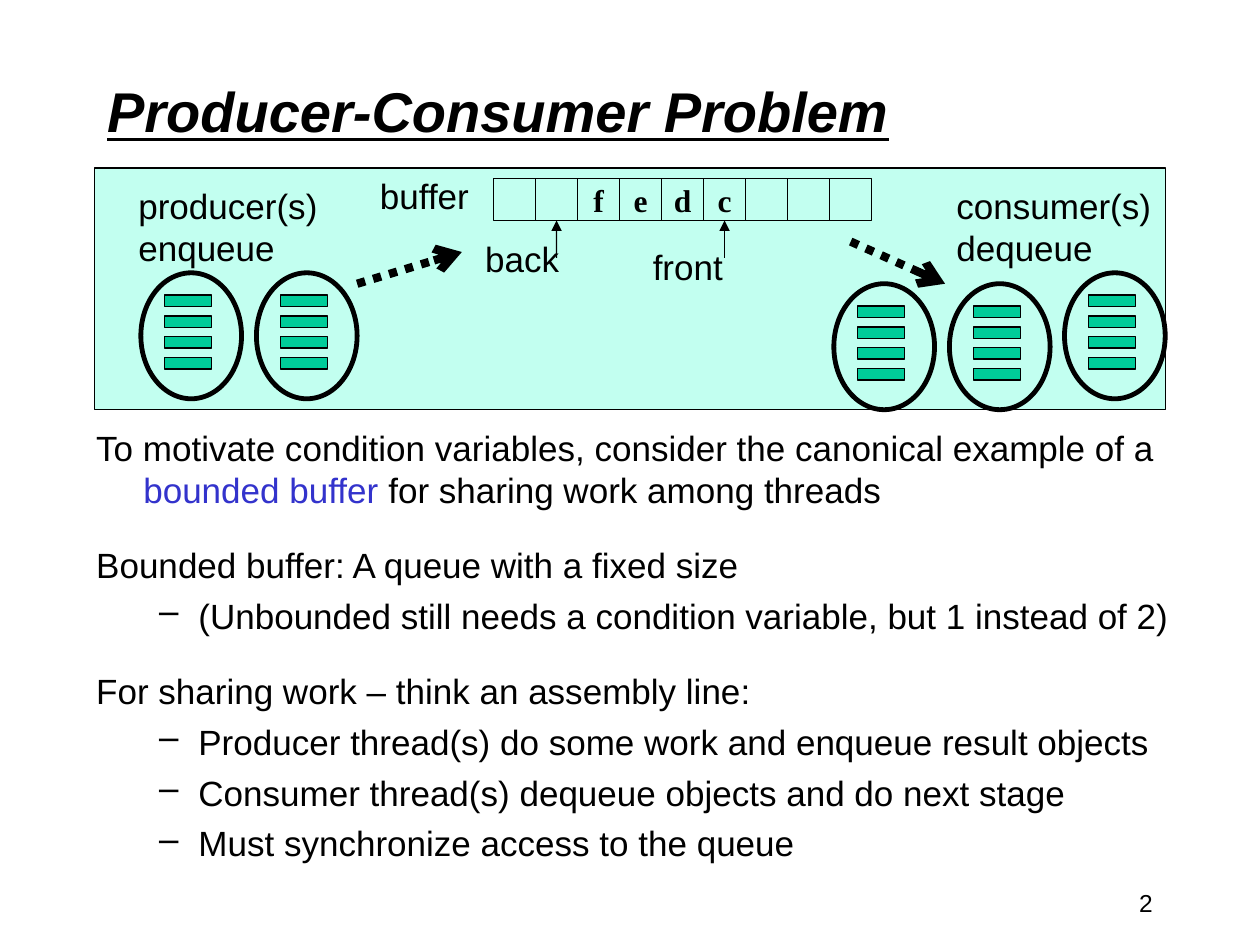
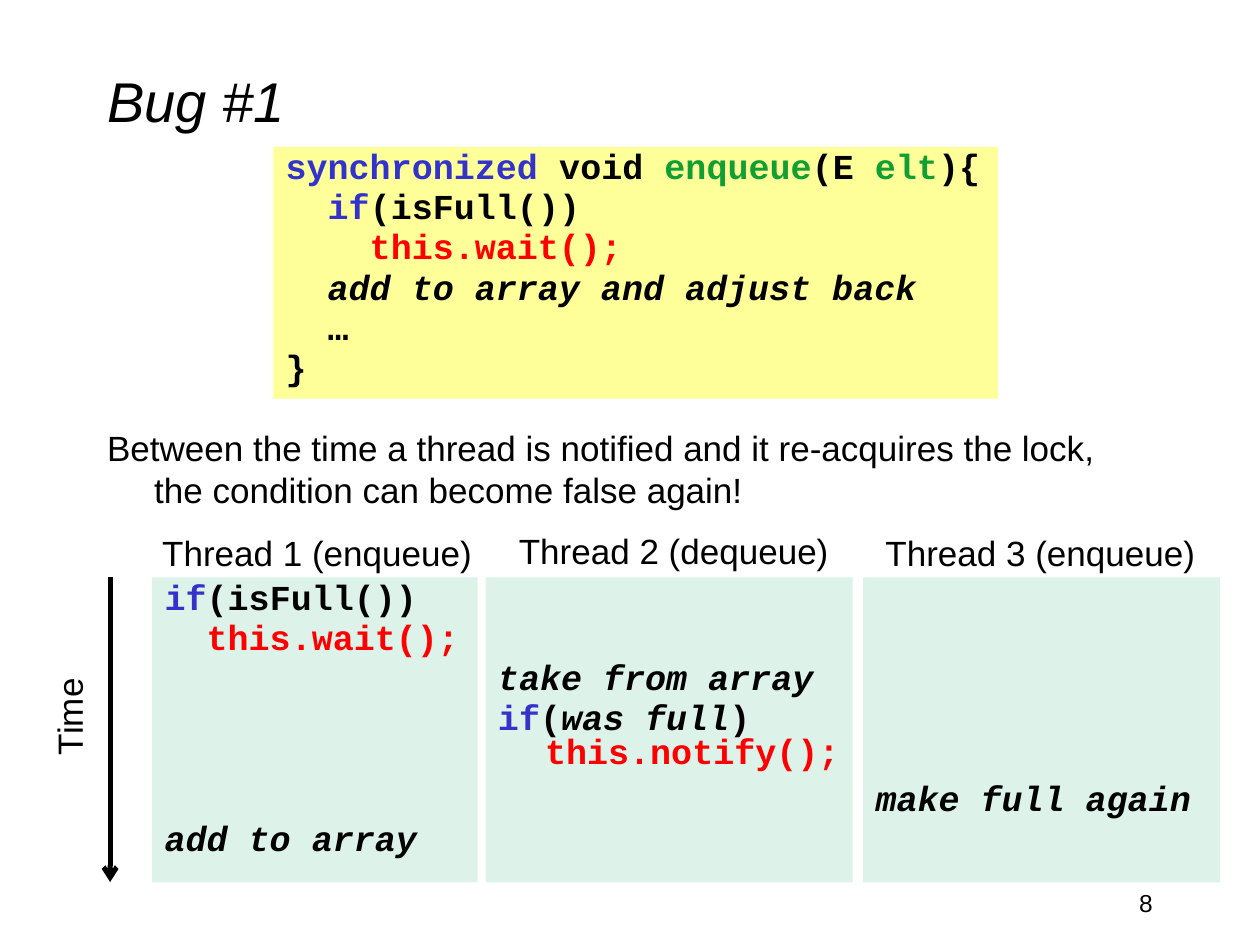
"""Build two slides on the bounded buffer and its first bug."""
import dataclasses

import lxml.etree
import pptx
import pptx.dml.color
import pptx.enum.dml
import pptx.enum.shapes
import pptx.enum.text
import pptx.oxml.ns
import pptx.util

Cm = pptx.util.Cm
Pt = pptx.util.Pt
Shape = pptx.enum.shapes.MSO_SHAPE
Align = pptx.enum.text.PP_ALIGN
Anchor = pptx.enum.text.MSO_ANCHOR


@dataclasses.dataclass(frozen=True)
class Theme:
    ink: str = "000000"
    key: str = "3333CC"
    name: str = "119F33"
    call: str = "FF0000"
    pool: str = "C2FFF0"
    task: str = "00CC99"
    code: str = "FFFF99"
    lane: str = "DDF3EA"
    sans: str = "Arial"
    mono: str = "Courier New"
    serif: str = "Times New Roman"
    head: float = 32
    text: float = 20
    cell: float = 18
    foot: float = 14
    thin: float = 0.75
    bold: float = 2.75
    thick: float = 4.75
    pitch: float = 19
    gap: float = 4


@dataclasses.dataclass
class Line:
    spans: list
    gap: float = 0
    left: float = 0
    hang: float = 0
    mark: str = ""


def point(text, gap=5):
    return Line([(text, "ink")], gap, 2.06, 0.79, "–")


def topic(*spans, gap=0):
    return Line(list(spans), gap, 0.95, 0.95)


class Deck:
    def __init__(self, theme):
        self.theme = theme
        self.show = pptx.Presentation()
        self.show.slide_width, self.show.slide_height = Cm(25.4), Cm(19.05)

    def color(self, name):
        return pptx.dml.color.RGBColor.from_string(getattr(self.theme, name))

    def style(self, run, size, face, tint="ink", bold=False, slant=False):
        font = run.font
        font.size, font.name = Pt(size), face
        font.bold, font.italic = bold, slant
        font.color.rgb = self.color(tint)

    def page(self, title, number, top, strong=False):
        self.slide = self.show.slides.add_slide(self.show.slide_layouts[6])
        head = self.label(title, 1.91, top, 21.59, 3.18, size=self.theme.head,
                          bold=strong, slant=True, anchor=Anchor.MIDDLE)
        if strong:
            head.text_frame.paragraphs[0].runs[0].font.underline = True
        self.label(str(number), 18.21, 17.78, 5.28, 1.27,
                   size=self.theme.foot, align=Align.RIGHT)

    def fill_text(self, shape, text, size, face, align, anchor, bold=False, slant=False):
        frame = shape.text_frame
        frame.text = text
        frame.vertical_anchor = anchor
        frame.word_wrap = False
        for para in frame.paragraphs:
            para.alignment = align
            for run in para.runs:
                self.style(run, size, face, bold=bold, slant=slant)

    def label(self, text, left, top, width, height=1.12, size=None, bold=False,
              slant=False, align=Align.LEFT, anchor=Anchor.TOP, turn=0):
        box = self.slide.shapes.add_textbox(Cm(left), Cm(top), Cm(width), Cm(height))
        self.fill_text(box, text, size or self.theme.text, self.theme.sans,
                       align, anchor, bold, slant)
        box.rotation = turn
        return box

    def shape(self, kind, left, top, width, height, fill=None, line=None):
        shape = self.slide.shapes.add_shape(kind, Cm(left), Cm(top), Cm(width), Cm(height))
        shape.shadow.inherit = False
        if fill:
            shape.fill.solid()
            shape.fill.fore_color.rgb = self.color(fill)
        else:
            shape.fill.background()
        if line:
            shape.line.width = Pt(line)
            shape.line.color.rgb = self.color("ink")
        else:
            shape.line.fill.background()
        return shape

    def cell(self, text, left, top, side):
        box = self.shape(Shape.RECTANGLE, left, top, side, side, line=self.theme.thin)
        if text:
            self.fill_text(box, text, self.theme.cell, self.theme.serif,
                           Align.CENTER, Anchor.MIDDLE, bold=True)
        return box

    def thread(self, left, top):
        self.shape(Shape.OVAL, left, top, 2.03, 2.54, line=self.theme.bold)
        for row in range(4):
            self.shape(Shape.RECTANGLE, left + 0.48, top + 0.45 + 0.42 * row,
                       0.95, 0.23, "task", self.theme.thin)

    def arrow(self, start, end, width, tip="arrow", dots=False, goal=None):
        link = self.slide.shapes.add_connector(
            pptx.enum.shapes.MSO_CONNECTOR.STRAIGHT, *map(Cm, start + end))
        if goal is not None:
            link.end_connect(goal, 2)
        link.line.width = Pt(width)
        link.line.color.rgb = self.color("ink")
        if dots:
            link.line.dash_style = pptx.enum.dml.MSO_LINE.ROUND_DOT
        qn = pptx.oxml.ns.qn
        stroke = link.line._get_or_add_ln()
        lxml.etree.SubElement(stroke, qn("a:tailEnd"), type=tip)
        lxml.etree.SubElement(link._element.spPr, qn("a:effectLst"))

    def set_lines(self, frame, lines, face, bold=False, pitch=None):
        frame.word_wrap = True
        frame.vertical_anchor = Anchor.TOP
        for index, line in enumerate(lines):
            para = frame.paragraphs[0] if index == 0 else frame.add_paragraph()
            props = para._p.get_or_add_pPr()
            props.set("marL", str(Cm(line.left)))
            props.set("indent", str(-Cm(line.hang)))
            if line.mark:
                lxml.etree.SubElement(props, pptx.oxml.ns.qn("a:buChar"), char=line.mark)
            para.alignment = Align.LEFT
            para.space_before = Pt(line.gap)
            if pitch:
                para.line_spacing = Pt(pitch)
            para.text = line.spans[0][0]
            for span in line.spans[1:]:
                para.add_run().text = span[0]
            for run, (_, tint, *slant) in zip(para.runs, line.spans):
                self.style(run, self.theme.text, face, tint, bold, bool(slant))

    def body(self, lines, left, top, width, height):
        box = self.slide.shapes.add_textbox(Cm(left), Cm(top), Cm(width), Cm(height))
        self.set_lines(box.text_frame, lines, self.theme.sans)

    def code(self, lines, left, top, width, height, fill, skip=0):
        box = self.shape(Shape.RECTANGLE, left, top, width, height, fill)
        step = self.theme.pitch + self.theme.gap
        box.text_frame.margin_top = Cm(0.13) + Pt(step * skip)
        self.set_lines(box.text_frame, lines, self.theme.mono, True, self.theme.pitch)


def draw_queue(deck):
    theme = deck.theme
    deck.page("Producer-Consumer Problem", 2, 0.64, strong=True)
    deck.body([
        topic(("To motivate condition variables, consider the canonical example of a ", "ink"),
              ("bounded buffer", "key"), (" for sharing work among threads", "ink")),
        topic(("Bounded buffer: A queue with a fixed size", "ink"), gap=19),
        point("(Unbounded still needs a condition variable, but 1 instead of 2)"),
        topic(("For sharing work – think an assembly line:", "ink"), gap=19),
        point("Producer thread(s) do some work and enqueue result objects"),
        point("Consumer thread(s) dequeue objects and do next stage"),
        point("Must synchronize access to the queue"),
    ], 1.69, 8.47, 22.44, 9.31)
    deck.shape(Shape.RECTANGLE, 1.91, 3.39, 21.59, 4.87, "pool", theme.thin)
    side = 7.62 / 9
    cells = [deck.cell(text, 9.95 + side * spot, 3.6, side)
             for spot, text in enumerate(["", "", "f", "e", "d", "c", "", "", ""])]
    for spot in (1, 5):
        mid = 9.95 + side * (spot + 0.5)
        deck.arrow((mid, 5.2), (mid, 4.45), theme.thin, "triangle", goal=cells[spot])
    deck.label("buffer", 7.41, 3.39, 2.31)
    deck.label("back", 9.53, 4.66, 2.01)
    deck.label("front", 12.91, 4.82, 1.93)
    deck.label("producer(s)\nenqueue", 2.54, 3.6, 4.14, 1.96)
    deck.label("consumer(s)\ndequeue", 19.03, 3.6, 4.47, 1.96)
    for left, top in ((2.84, 5.5), (5.17, 5.5), (16.81, 5.72), (19.14, 5.72), (21.46, 5.5)):
        deck.thread(left, top)
    deck.arrow((7.2, 5.72), (9.31, 5.08), theme.thick, dots=True)
    deck.arrow((17.15, 4.87), (19.05, 5.72), theme.thick, dots=True)


def draw_bug(deck):
    gap = deck.theme.gap
    step = deck.theme.pitch + gap
    deck.page("Bug #1", 8, 0.43)
    deck.body([topic(("Between the time a thread is notified and it re-acquires the lock, "
                      "the condition can become false again!", "ink"))],
              1.91, 8.47, 21.3, 2.12)
    deck.code([
        Line([("synchronized", "key"), (" void ", "ink"), ("enqueue", "name"),
              ("(E ", "ink"), ("elt", "name"), ("){", "ink")]),
        Line([("  if", "key"), ("(isFull())", "ink")], gap),
        Line([("    this.wait();", "call")], gap),
        Line([("  add to array and adjust back", "ink", "slant")], gap),
        Line([("  …", "ink")], gap),
        Line([("}", "ink")], gap),
    ], 5.51, 2.96, 14.61, 5.08, "code")
    lanes = [
        ("Thread 1 (enqueue)", 3.02, 10.59, 3.07, 6.56, 0, [
            Line([("if", "key"), ("(isFull())", "ink")]),
            Line([("  this.wait();", "call")], gap),
            Line([("add to array", "ink", "slant")], gap + 4 * step)]),
        ("Thread 2 (dequeue)", 10.21, 10.54, 9.79, 7.4, 2, [
            Line([("take from array", "ink", "slant")]),
            Line([("if", "key"), ("(", "ink"), ("was full", "ink", "slant"), (")", "ink")], gap),
            Line([("this.notify();", "call")], left=0.95)]),
        ("Thread 3 (enqueue)", 17.6, 10.59, 17.4, 7.2, 5, [
            Line([("make full again", "ink", "slant")])]),
    ]
    for title, start, top, left, width, skip, lines in lanes:
        deck.code(lines, left, 11.64, width, 6.15, "lane", skip)
        deck.label(title, start, top, 6.81)
    deck.arrow((2.22, 11.64), (2.22, 17.78), deck.theme.bold)
    deck.label("Time", 0.36, 13.87, 2.08, turn=270)


def main():
    deck = Deck(Theme())
    draw_queue(deck)
    draw_bug(deck)
    deck.show.save("out.pptx")


if __name__ == "__main__":
    main()
